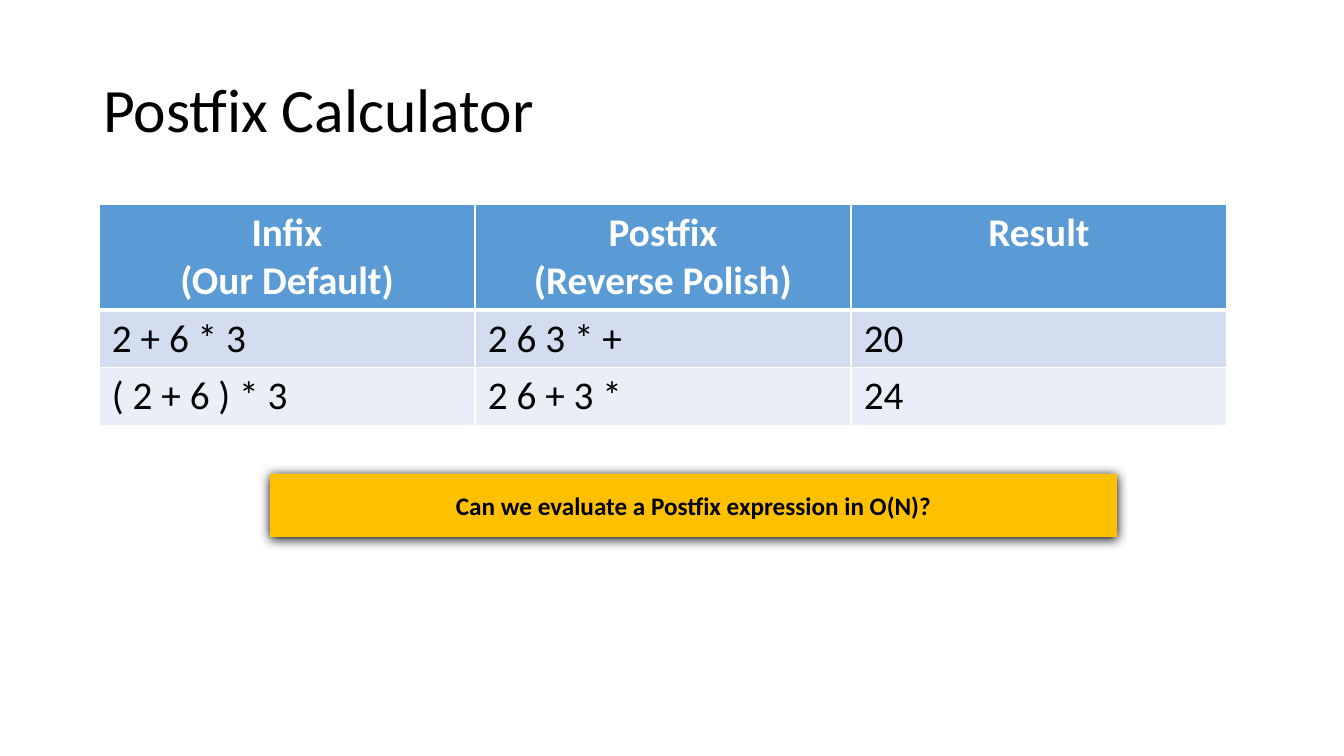
from lxml import etree
from pptx import Presentation
from pptx.dml.color import RGBColor
from pptx.enum.shapes import MSO_SHAPE
from pptx.enum.text import MSO_ANCHOR, PP_ALIGN
from pptx.oxml import parse_xml
from pptx.oxml.ns import nsdecls, qn
from pptx.util import Pt

LEFT, CENTER = PP_ALIGN.LEFT, PP_ALIGN.CENTER
MIDDLE = MSO_ANCHOR.MIDDLE
RECTANGLE = MSO_SHAPE.RECTANGLE
TITLE_ONLY = 5

SCALE = 914400 / 100.8
FONT = "Calibri"
BLACK, WHITE, AMBER = "000000", "FFFFFF", "FFC000"

TITLE = "Postfix Calculator"
QUESTION = "Can we evaluate a Postfix expression in O(N)?"
# A vertical tab is a line break inside a paragraph.
ROWS = [
    ("Infix\v(Our Default)", "Postfix\v(Reverse Polish)", "Result"),
    ("2 + 6 * 3", "2 6 3 * +", "20"),
    ("( 2 + 6 ) * 3", "2 6 + 3 *", "24"),
]
ROW_FILLS = ["5B9BD5", "D2DEEF", "EAEFF7"]
ROW_HEIGHTS = [105, 58, 58]
COLUMN_WIDTH = 376

TITLE_AREA = (93, 40, 1159, 146)
TABLE_AREA = (99, 204, COLUMN_WIDTH * len(ROWS[0]), sum(ROW_HEIGHTS))
QUESTION_AREA = (270, 474, 847, 63)


def px(length):
    """Turn pixels into EMU."""
    return round(length * SCALE)


def color(value):
    """Turn a hex string into a colour."""
    return RGBColor.from_string(value)


def place(shape, area):
    """Move and size a shape to an area in pixels."""
    shape.left, shape.top, shape.width, shape.height = map(px, area)


def set_text(frame, text, size, ink=BLACK, bold=False, align=LEFT):
    """Write one formatted paragraph into a text frame."""
    frame.text = text
    para = frame.paragraphs[0]
    para.alignment = align
    font = para.font
    font.name, font.size, font.bold = FONT, Pt(size), bold
    font.color.rgb = color(ink)


def set_margins(holder, side, end):
    """Set the horizontal and vertical insets of a cell or text frame."""
    holder.margin_left = holder.margin_right = px(side)
    holder.margin_top = holder.margin_bottom = px(end)


def add_borders(cell, bottom):
    """Give a cell white borders, with its own bottom width in points."""
    widths = {"lnL": 1, "lnR": 1, "lnT": 1, "lnB": bottom}
    properties = cell._tc.get_or_add_tcPr()
    for index, (side, width) in enumerate(widths.items()):
        properties.insert(index, parse_xml(
            f'<a:{side} {nsdecls("a")} w="{Pt(width)}"><a:solidFill>'
            f'<a:srgbClr val="{WHITE}"/></a:solidFill></a:{side}>'))


def add_title(page):
    """Fill the title placeholder."""
    title = page.shapes.title
    place(title, TITLE_AREA)
    set_text(title.text_frame, TITLE, 44)
    title.text_frame.vertical_anchor = MIDDLE
    title.text_frame.paragraphs[0].line_spacing = 0.9


def add_expressions(page):
    """Add the table of infix and postfix expressions."""
    table = page.shapes.add_table(
        len(ROWS), len(ROWS[0]), *map(px, TABLE_AREA)).table
    for column in table.columns:
        column.width = px(COLUMN_WIDTH)
    for index, texts in enumerate(ROWS):
        header = index == 0
        table.rows[index].height = px(ROW_HEIGHTS[index])
        for cell, text in zip(table.rows[index].cells, texts):
            set_margins(cell, 13, 5)
            cell.fill.solid()
            cell.fill.fore_color.rgb = color(ROW_FILLS[index])
            add_borders(cell, 3 if index == 0 else 1)
            if header:
                set_text(cell.text_frame, text, 28, WHITE, True, CENTER)
            else:
                set_text(cell.text_frame, text, 28)


def add_shadow(shape, blur, distance, degrees):
    """Give a shape a black outer shadow, with lengths in points."""
    shape.shadow.inherit = False
    effects = shape._element.spPr.find(qn("a:effectLst"))
    shadow = etree.SubElement(
        effects, qn("a:outerShdw"), blurRad=str(Pt(blur)),
        dist=str(Pt(distance)), dir=str(degrees * 60000), rotWithShape="0")
    etree.SubElement(shadow, qn("a:srgbClr"), val=BLACK)


def add_question(page):
    """Add the amber question box."""
    box = page.shapes.add_shape(RECTANGLE, *map(px, QUESTION_AREA))
    box.fill.solid()
    box.fill.fore_color.rgb = color(AMBER)
    box.line.fill.background()
    add_shadow(box, 8.5, 1, 90)
    frame = box.text_frame
    frame.word_wrap = True
    frame.vertical_anchor = MIDDLE
    set_margins(frame, 10, 16)
    set_text(frame, QUESTION, 18, bold=True, align=CENTER)


deck = Presentation()
deck.slide_width, deck.slide_height = px(1344), px(756)
page = deck.slides.add_slide(deck.slide_layouts[TITLE_ONLY])
add_title(page)
add_expressions(page)
add_question(page)
deck.save("out.pptx")
